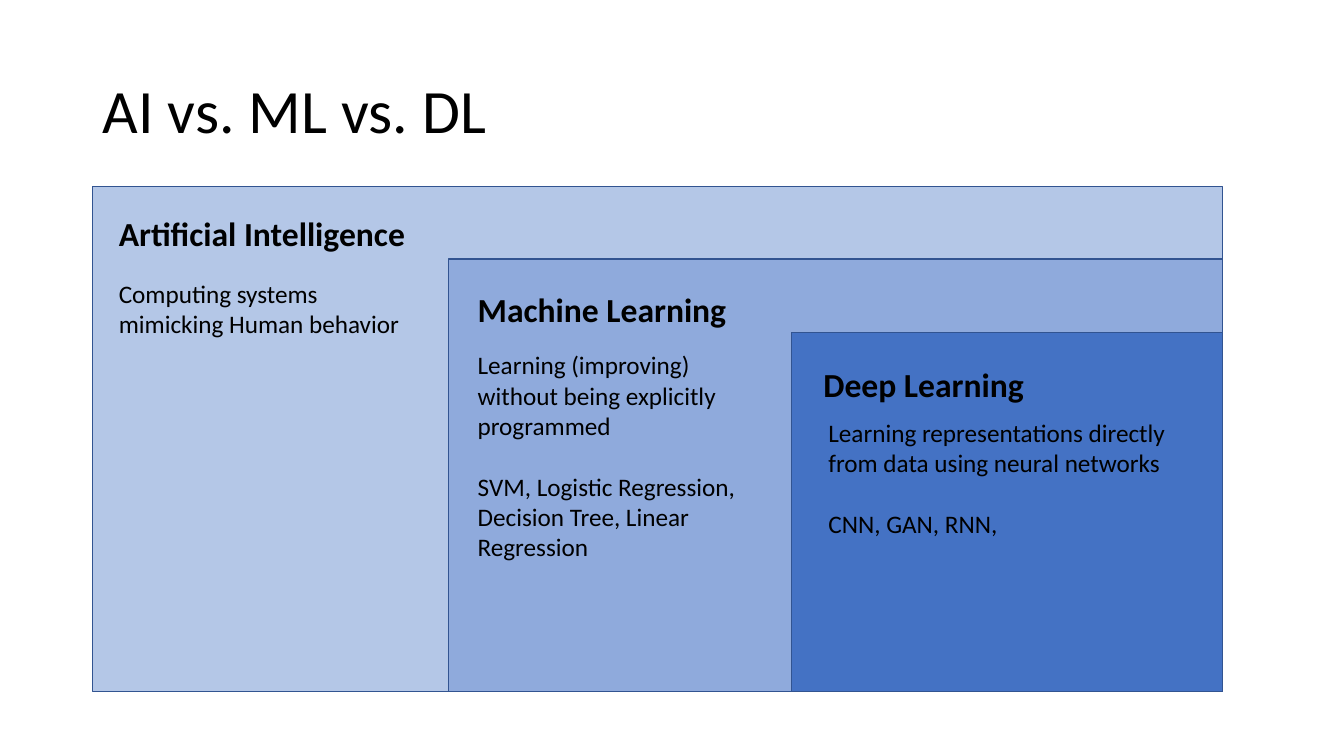
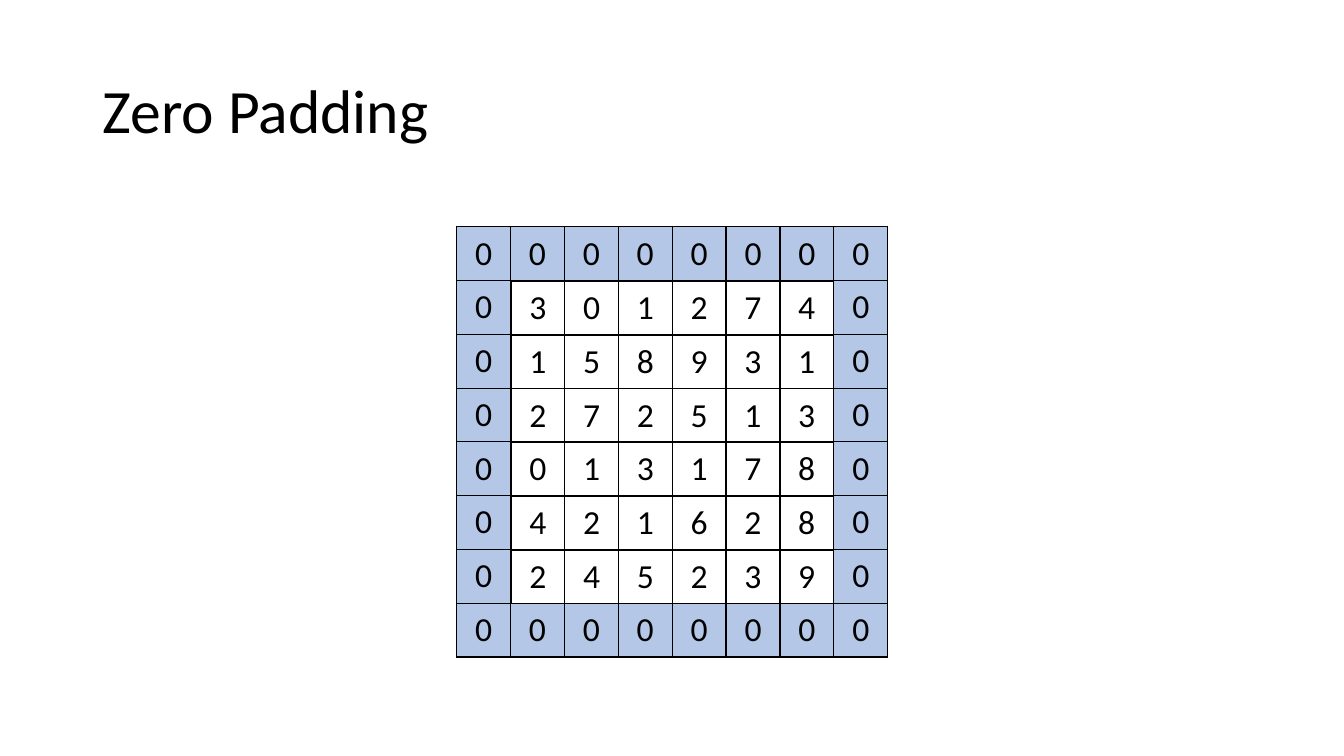
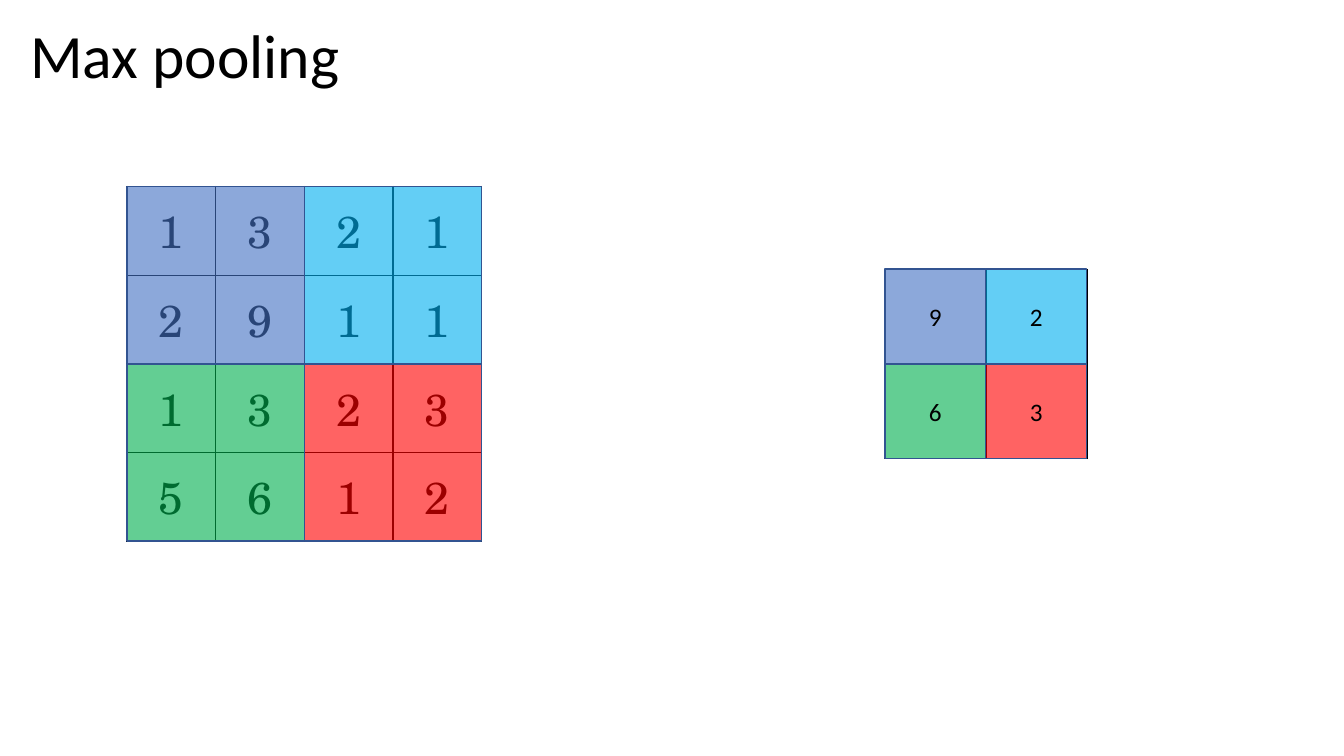
"""Builds three slides on AI terms, zero padding and max pooling."""
from dataclasses import dataclass

from lxml.etree import SubElement as Sub
from pptx import Presentation as Deck
from pptx.dml.color import RGBColor as Rgb
from pptx.enum.shapes import MSO_SHAPE as Kind
from pptx.enum.text import MSO_ANCHOR as Anchor, PP_ALIGN as Align
from pptx.oxml.ns import qn
from pptx.util import Pt

PX = 9144
TALL = 750 * PX
WIDE = TALL * 16 // 9
BLACK, EDGE, PALE = "000000", "325491", "B4C7E7"
SANS, SERIF = "Calibri", "TeX Gyre Schola"
QUADS = ["4472C4", "00B0F0", "00B050", "FF0000"]


@dataclass
class Box:
    x: int
    y: int
    w: int
    h: int

    def emu(self) -> list[int]:
        return [v * PX for v in (self.x, self.y, self.w, self.h)]


@dataclass
class Field:
    box: Box
    fill: str
    name: str
    head: Box
    body: str
    note: Box
    wrap: bool = False


FIELDS = [
    Field(Box(92, 185, 1121, 501), PALE,
          "Artificial Intelligence", Box(108, 206, 308, 50),
          "Computing systems\nmimicking Human behavior",
          Box(108, 271, 298, 71)),
    Field(Box(445, 257, 768, 429), "8FAADC",
          "Machine Learning", Box(464, 282, 269, 50),
          "Learning (improving) without being explicitly programmed\n\n"
          "SVM, Logistic Regression, Decision Tree, Linear Regression",
          Box(464, 342, 315, 192), True),
    Field(Box(785, 330, 428, 356), "4472C4",
          "Deep Learning", Box(807, 356, 221, 50),
          "Learning representations directly\n"
          "from data using neural networks\n\nCNN, GAN, RNN,",
          Box(812, 409, 354, 131)),
]
INNER = ["301274", "158931", "272513", "013178", "421628", "245239"]
INPUT = ["1321", "2911", "1323", "5612"]
MAXES = "9263"


def color(code: str) -> Rgb:
    return Rgb.from_string(code)


def write(frame, text: str, *, size: int = 18, font: str = SANS,
          bold: bool = False, align=Align.LEFT, lead: float = 1.0) -> None:
    """Fills a frame; a blank line in the text becomes space before."""
    first = True
    for block in text.split("\n\n"):
        for num, line in enumerate(block.split("\n")):
            para = frame.paragraphs[0] if first else frame.add_paragraph()
            if num == 0 and not first:
                para.space_before = Pt(22)
            first = False
            para.alignment = align
            para.line_spacing = lead
            run = para.add_run()
            run.text = line
            run.font.size, run.font.name = Pt(size), font
            run.font.bold = bold
            run.font.color.rgb = color(BLACK)


def label(slide, box: Box, text: str, *, wrap: bool = False,
          anchor=Anchor.TOP, **form) -> None:
    frame = slide.shapes.add_textbox(*box.emu()).text_frame
    frame.word_wrap = wrap
    frame.vertical_anchor = anchor
    write(frame, text, **form)


def rect(shapes, box: Box, fill: str, *, text: str = "",
         alpha: int = 100) -> None:
    shape = shapes.add_shape(Kind.RECTANGLE, *box.emu())
    shape.shadow.inherit = False
    shape.fill.solid()
    shape.fill.fore_color.rgb = color(fill)
    if alpha < 100:
        tint = next(shape.element.spPr.iter(qn("a:srgbClr")))
        Sub(tint, qn("a:alpha"), val=str(alpha * 1000))
    shape.line.color.rgb = color(EDGE)
    shape.line.width = Pt(1)
    if text:
        shape.text_frame.vertical_anchor = Anchor.MIDDLE
        write(shape.text_frame, text, align=Align.CENTER)


def border(cell) -> None:
    props = cell._tc.get_or_add_tcPr()
    for side in ("lnL", "lnR", "lnT", "lnB"):
        line = Sub(props, qn(f"a:{side}"), w=str(Pt(1)))
        Sub(Sub(line, qn("a:solidFill")), qn("a:srgbClr"), val=BLACK)


def grid(slide, box: Box, rows: list[str], *, fill: str = "",
         tight: bool = False, **form) -> None:
    """Draws a bordered table with one character per cell, filling marked cells."""
    high, wide = len(rows), len(rows[0])
    table = slide.shapes.add_table(high, wide, *box.emu()).table
    table.first_row = table.horz_banding = False
    for col in table.columns:
        col.width = box.w * PX // wide
    for r, row in enumerate(rows):
        table.rows[r].height = box.h * PX // high
        for c, char in enumerate(row):
            cell = table.cell(r, c)
            mark = char.strip()
            border(cell)
            if fill and mark:
                cell.fill.solid()
                cell.fill.fore_color.rgb = color(fill)
            else:
                cell.fill.background()
            if tight:
                cell.margin_left = cell.margin_right = 0
                cell.margin_top = cell.margin_bottom = 0
            cell.vertical_anchor = Anchor.MIDDLE
            if mark:
                write(cell.text_frame, mark, align=Align.CENTER, **form)


def quads(slide, box: Box, marks: str = "") -> None:
    """Covers a box with four tinted quarters."""
    group = slide.shapes.add_group_shape()
    w, h = box.w // 2, box.h // 2
    for i, fill in enumerate(QUADS):
        part = Box(box.x + i % 2 * w, box.y + i // 2 * h, w, h)
        rect(group.shapes, part, fill, text=marks[i:i + 1], alpha=61)


def page(deck, title: str, x: int = 92, y: int = 40, anchor=Anchor.MIDDLE):
    slide = deck.slides.add_slide(deck.slide_layouts[6])
    label(slide, Box(x, y, 1150, 145), title, wrap=True, anchor=anchor,
          size=44, lead=0.9)
    return slide


def terms(deck) -> None:
    slide = page(deck, "AI vs. ML vs. DL")
    for item in FIELDS:
        rect(slide.shapes, item.box, item.fill)
    for item in FIELDS:
        label(slide, item.head, item.name, size=24, bold=True)
        label(slide, item.note, item.body, wrap=item.wrap)


def padding(deck) -> None:
    slide = page(deck, "Zero Padding")
    count = len(INNER)
    zeros = "0" * (count + 2)
    rim = [zeros, *[f"0{'':{count}}0"] * count, zeros]
    grid(slide, Box(453, 225, 428, 427), rim, fill=PALE, tight=True, size=24)
    grid(slide, Box(507, 279, 320, 320), INNER, tight=True, size=24)


def pooling(deck) -> None:
    slide = page(deck, "Max pooling", 20, 20, Anchor.TOP)
    left, right = Box(126, 185, 352, 352), Box(878, 267, 201, 188)
    grid(slide, left, INPUT, size=32, font=SERIF)
    grid(slide, right, [" " * 2] * 2)
    quads(slide, left)
    quads(slide, right, MAXES)


def main() -> None:
    deck = Deck()
    deck.slide_width, deck.slide_height = WIDE, TALL
    for build in (terms, padding, pooling):
        build(deck)
    deck.save("out.pptx")


if __name__ == "__main__":
    main()
